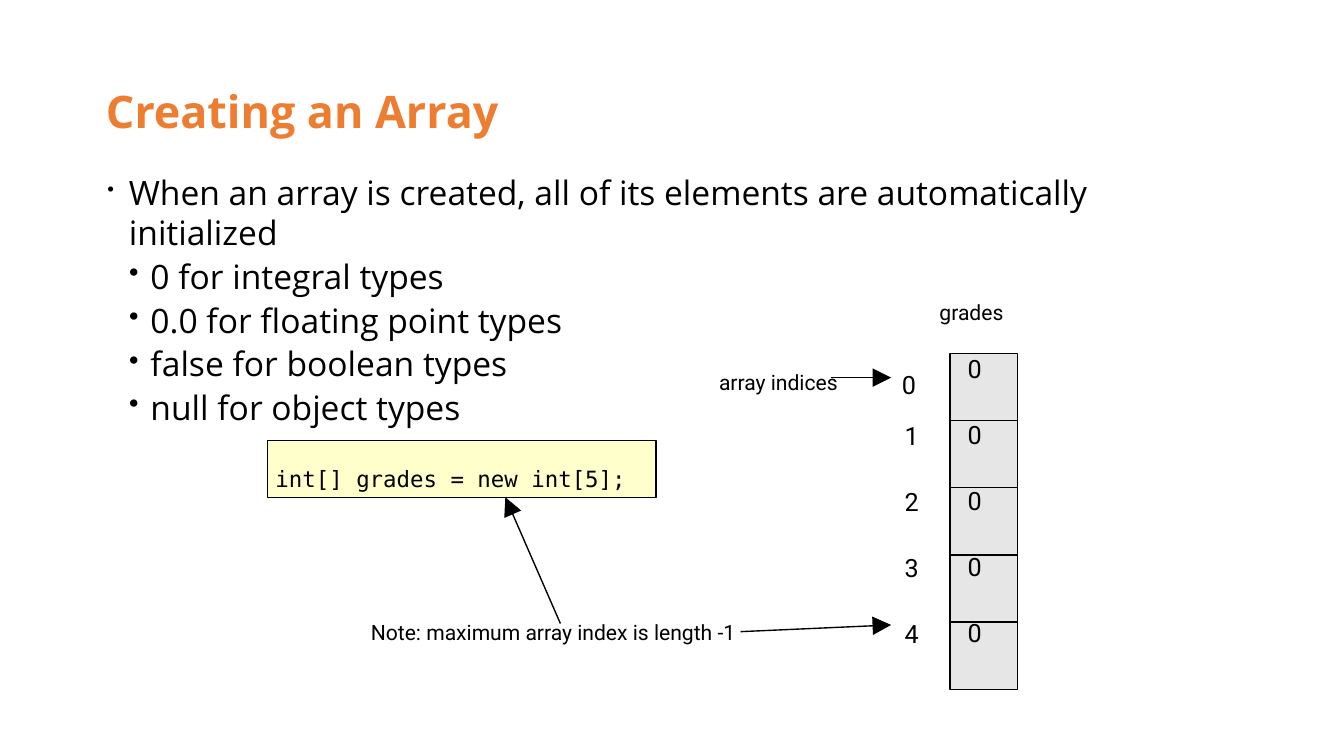
from lxml import etree
from pptx import Presentation
from pptx.dml.color import RGBColor
from pptx.enum.shapes import MSO_CONNECTOR, MSO_SHAPE
from pptx.enum.text import MSO_ANCHOR, MSO_AUTO_SIZE
from pptx.oxml.ns import qn
from pptx.util import Inches, Pt

ROUNDED = MSO_SHAPE.ROUNDED_RECTANGLE
STRAIGHT = MSO_CONNECTOR.STRAIGHT
MIDDLE = MSO_ANCHOR.MIDDLE
FIT_SHAPE = MSO_AUTO_SIZE.SHAPE_TO_FIT_TEXT

COLORS = {"title": "ED7D31", "ink": "000000", "code": "FFFFCC", "cell": "E6E6E6"}
SANS, LABEL, MONO = "Open Sans", "Roboto", "DejaVu Sans Mono"
HANG = 0.16

TITLE = "Creating an Array"
BULLETS = [
    (0, "When an array is created, all of its elements are automatically initialized"),
    (1, "0 for integral types"),
    (1, "0.0 for floating point types"),
    (1, "false for boolean types"),
    (1, "null for object types"),
]
BULLET_SIZES = [59, 84]
CODE = "int[] grades = new int[5];"
LABELS = [
    ("array indices", 5.35, 2.75, 0.89),
    ("Note: maximum array index is length -1", 2.76, 4.61, 2.74),
    ("grades", 6.99, 2.23, 0.48),
]
ARROWS = [
    (6.18, 2.81, 6.63, 2.81),
    (5.51, 4.7, 6.63, 4.65),
    (4.17, 4.64, 3.76, 3.7),
]
VALUES = ["0"] * 5
CELL_LEFT, CELL_TOP, CELL_SIZE = 7.07, 2.63, 0.5
VALUE_LEFT, VALUE_TOP = 7.2, 2.63
INDEX_LEFT, INDEX_TOP = 6.73, 2.64
FIRST_INDEX = (6.71, 2.75)
DIGIT_STEP = 0.49


def rgb(name):
    return RGBColor.from_string(COLORS[name])


def add_run(paragraph, text, font, size, color="ink", bold=False):
    run = paragraph.add_run()
    run.text = text
    run.font.name = font
    run.font.size = Pt(size)
    run.font.bold = bold
    run.font.color.rgb = rgb(color)


def add_frame(slide, left, top, width, height, wrap):
    frame = slide.shapes.add_textbox(*map(Inches, (left, top, width, height))).text_frame
    frame.margin_left = frame.margin_right = frame.margin_top = frame.margin_bottom = 0
    frame.word_wrap = wrap
    frame.auto_size = FIT_SHAPE
    return frame


def hang(paragraph, level=0):
    paragraph.level = level
    paragraph.space_before = Pt(1.8)
    properties = paragraph._p.get_or_add_pPr()
    properties.set("marL", str(Inches(HANG * (level + 1))))
    properties.set("indent", str(Inches(-HANG)))
    return properties


def add_label(slide, text, left, top, width, height, font, size, wrap=False):
    paragraph = add_frame(slide, left, top, width, height, wrap).paragraphs[0]
    hang(paragraph)
    add_run(paragraph, text, font, size)


def add_box(slide, left, top, width, height, fill):
    box = slide.shapes.add_shape(ROUNDED, *map(Inches, (left, top, width, height)))
    box.adjustments[0] = 0
    box.shadow.inherit = False
    box.fill.solid()
    box.fill.fore_color.rgb = rgb(fill)
    box.line.color.rgb = rgb("ink")
    box.line.width = Pt(0.75)


def add_arrow(slide, ends):
    arrow = slide.shapes.add_connector(STRAIGHT, *map(Inches, ends))
    arrow.line.color.rgb = rgb("ink")
    arrow.line.width = Pt(0.75)
    line = arrow.line._get_or_add_ln()
    etree.SubElement(line, qn("a:tailEnd"), type="triangle", w="lg", len="lg")
    etree.SubElement(arrow._element.spPr, qn("a:effectLst"))


def add_bullets(slide):
    frame = add_frame(slide, 0.8, 1.28, 8.43, 1.63, True)
    for number, (level, text) in enumerate(BULLETS):
        paragraph = frame.add_paragraph() if number else frame.paragraphs[0]
        properties = hang(paragraph, level)
        color = etree.SubElement(properties, qn("a:buClr"))
        etree.SubElement(color, qn("a:srgbClr"), val=COLORS["ink"])
        etree.SubElement(properties, qn("a:buSzPct"), val=str(BULLET_SIZES[level] * 1000))
        etree.SubElement(properties, qn("a:buChar"), char="•")
        add_run(paragraph, text, SANS, 18)


def add_title(slide):
    frame = slide.shapes.add_textbox(*map(Inches, (0.69, 0.3, 8.62, 1.09))).text_frame
    frame.word_wrap = True
    frame.vertical_anchor = MIDDLE
    frame.paragraphs[0].line_spacing = 0.9
    add_run(frame.paragraphs[0], TITLE, SANS, 24, "title", True)


def add_array(slide):
    for index in range(len(VALUES)):
        add_box(slide, CELL_LEFT, CELL_TOP + index * CELL_SIZE, CELL_SIZE, CELL_SIZE, "cell")
    for index, value in enumerate(VALUES):
        offset = index * DIGIT_STEP
        index_place = (INDEX_LEFT, INDEX_TOP + offset) if index else FIRST_INDEX
        add_label(slide, value, VALUE_LEFT, VALUE_TOP + offset, 0.11, 0.23, LABEL, 13.5)
        add_label(slide, str(index), *index_place, 0.11, 0.23, LABEL, 13.5)


def main():
    deck = Presentation()
    deck.slide_width = Inches(10)
    deck.slide_height = deck.slide_width * 9 // 16
    slide = deck.slides.add_slide(deck.slide_layouts[6])
    add_box(slide, 1.99, 3.28, 2.89, 0.42, "code")
    add_label(slide, CODE, 2.05, 3.46, 2.67, 0.43, MONO, 12, True)
    add_bullets(slide)
    add_array(slide)
    for text, left, top, width in LABELS:
        add_label(slide, text, left, top, width, 0.19, LABEL, 11.25)
    for ends in ARROWS:
        add_arrow(slide, ends)
    add_title(slide)
    deck.save("out.pptx")


if __name__ == "__main__":
    main()
